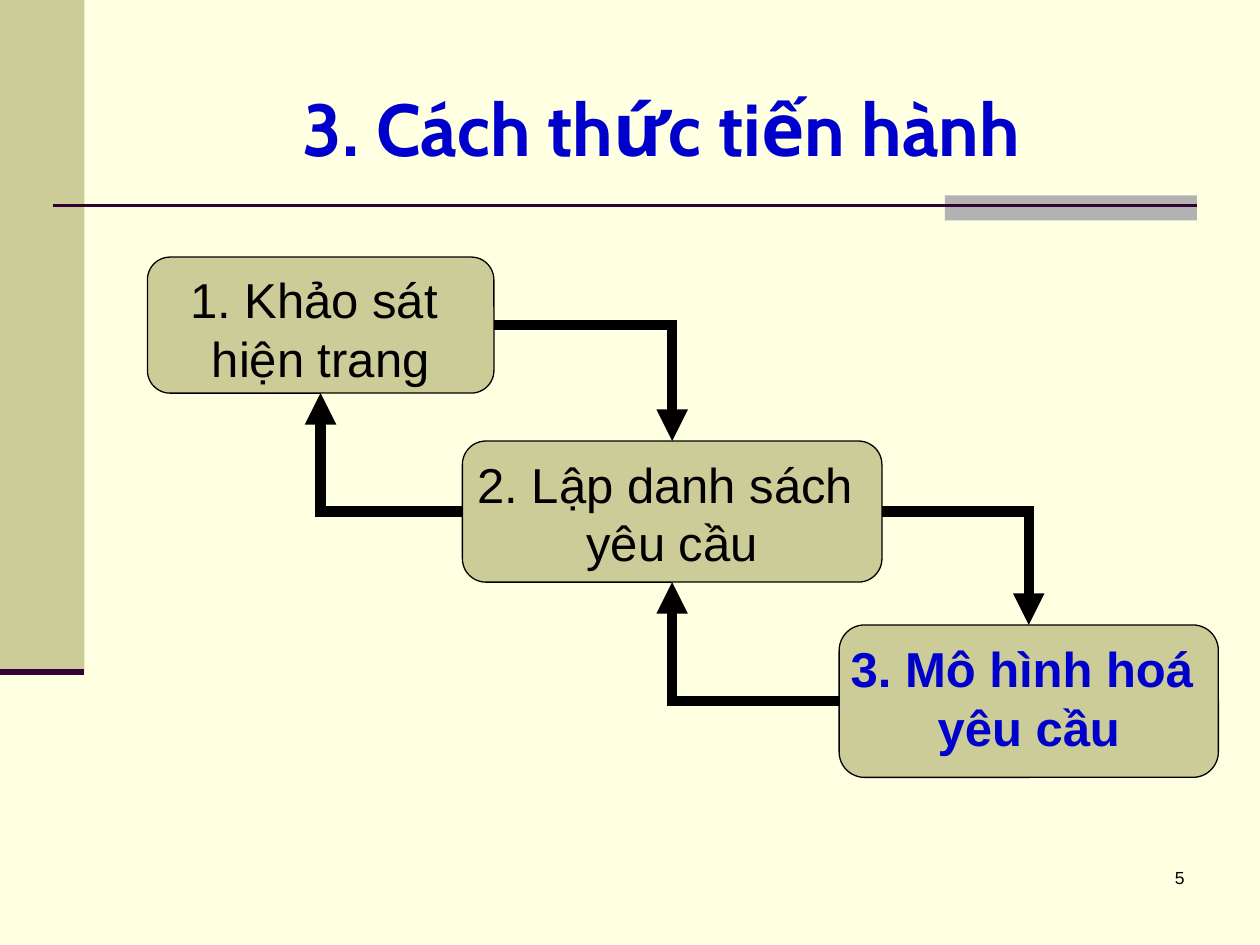
import dataclasses

import lxml.etree
import pptx
import pptx.dml.color
import pptx.enum.shapes
import pptx.enum.text
import pptx.oxml.ns
import pptx.util

Inches = pptx.util.Inches
Pt = pptx.util.Pt
Align = pptx.enum.text.PP_ALIGN
Anchor = pptx.enum.text.MSO_ANCHOR
Preset = pptx.enum.shapes.MSO_SHAPE
Connector = pptx.enum.shapes.MSO_CONNECTOR
qn = pptx.oxml.ns.qn
TOP, LEFT, BOTTOM, RIGHT = range(4)


@dataclasses.dataclass(frozen=True)
class Theme:
    background: str = "FFFFE1"
    panel: str = "CCCC99"
    tab: str = "B2B2B2"
    rule: str = "330033"
    ink: str = "000000"
    accent: str = "0000CC"
    body_font: str = "Arial"
    title_font: str = "Cabin"
    title_size: int = 42
    step_size: int = 28
    number_size: int = 10


def rgb(value):
    return pptx.dml.color.RGBColor.from_string(value)


class SlideBuilder:
    """Draws themed elements on the current slide."""

    def __init__(self, slide, theme):
        self.slide = slide
        self.theme = theme
        slide.background.fill.solid()
        slide.background.fill.fore_color.rgb = rgb(theme.background)

    def set_text(self, frame, lines, size, color, font, align, bold=False):
        frame.text = "\n".join(lines)
        for paragraph in frame.paragraphs:
            paragraph.alignment = align
            paragraph.font.name = font
            paragraph.font.size = Pt(size)
            paragraph.font.bold = bold
            paragraph.font.color.rgb = rgb(color)

    def block(self, preset, box, fill):
        block = self.slide.shapes.add_shape(preset, *map(Inches, box))
        block.shadow.inherit = False
        block.fill.solid()
        block.fill.fore_color.rgb = rgb(fill)
        block.line.fill.background()
        return block

    def label(self, box, text, size, color, font, align, anchor=Anchor.TOP, bold=False):
        frame = self.slide.shapes.add_textbox(*map(Inches, box)).text_frame
        frame.word_wrap = True
        frame.vertical_anchor = anchor
        self.set_text(frame, [text], size, color, font, align, bold)

    def step(self, box, lines, color, bold=False):
        step = self.block(Preset.ROUNDED_RECTANGLE, box, self.theme.panel)
        step.line.color.rgb = rgb(self.theme.ink)
        step.line.width = Pt(0.75)
        step.text_frame.word_wrap = False
        step.text_frame.vertical_anchor = Anchor.TOP
        self.set_text(step.text_frame, lines, self.theme.step_size, color,
                      self.theme.body_font, Align.CENTER, bold)
        return step

    def connector(self, kind, ends, color, width):
        connector = self.slide.shapes.add_connector(kind, *map(Inches, ends))
        connector.line.color.rgb = rgb(color)
        connector.line.width = Pt(width)
        lxml.etree.SubElement(connector._element.spPr, qn("a:effectLst"))
        return connector

    def rule(self, ends, width):
        self.connector(Connector.STRAIGHT, ends, self.theme.rule, width)

    def arrow(self, source, source_side, target, target_side):
        arrow = self.connector(Connector.ELBOW, (0, 0, 0, 0), self.theme.ink, 6)
        arrow.begin_connect(source, source_side)
        arrow.end_connect(target, target_side)
        properties = arrow._element.spPr
        properties.find(qn("a:prstGeom")).set("prst", "bentConnector2")
        outline = properties.find(qn("a:ln"))
        lxml.etree.SubElement(outline, qn("a:miter"), lim="800000")
        lxml.etree.SubElement(outline, qn("a:tailEnd"), type="triangle")


def main():
    theme = Theme()
    deck = pptx.Presentation()
    deck.slide_width, deck.slide_height = Inches(10), Inches(7.5)
    page = SlideBuilder(deck.slides.add_slide(deck.slide_layouts[6]), theme)

    page.block(Preset.RECTANGLE, (0, 0, 0.67, 5.33), theme.panel)
    page.block(Preset.RECTANGLE, (7.5, 1.55, 2, 0.2), theme.tab)
    page.rule((0.42, 1.63, 9.5, 1.63), 1.5)
    page.rule((0, 5.33, 0.67, 5.33), 3.5)
    page.label((7.42, 6.83, 2.08, 0.5), "5", theme.number_size, theme.ink,
               theme.body_font, Align.RIGHT)
    page.label((1, 0.3, 8.5, 1.11), "3. Cách thức tiến hành", theme.title_size,
               theme.accent, theme.title_font, Align.CENTER, Anchor.BOTTOM, True)

    survey = page.step((1.17, 2.04, 2.75, 1.08), ["1. Khảo sát ", "hiện trang"], theme.ink)
    listing = page.step((3.67, 3.5, 3.33, 1.12), ["2. Lập danh sách ", "yêu cầu"], theme.ink)
    modelling = page.step((6.66, 4.96, 3.01, 1.21), ["3. Mô hình hoá ", "yêu cầu"],
                          theme.accent, True)

    for earlier, later in ((survey, listing), (listing, modelling)):
        page.arrow(earlier, RIGHT, later, TOP)
        page.arrow(later, LEFT, earlier, BOTTOM)

    deck.save("out.pptx")


if __name__ == "__main__":
    main()
